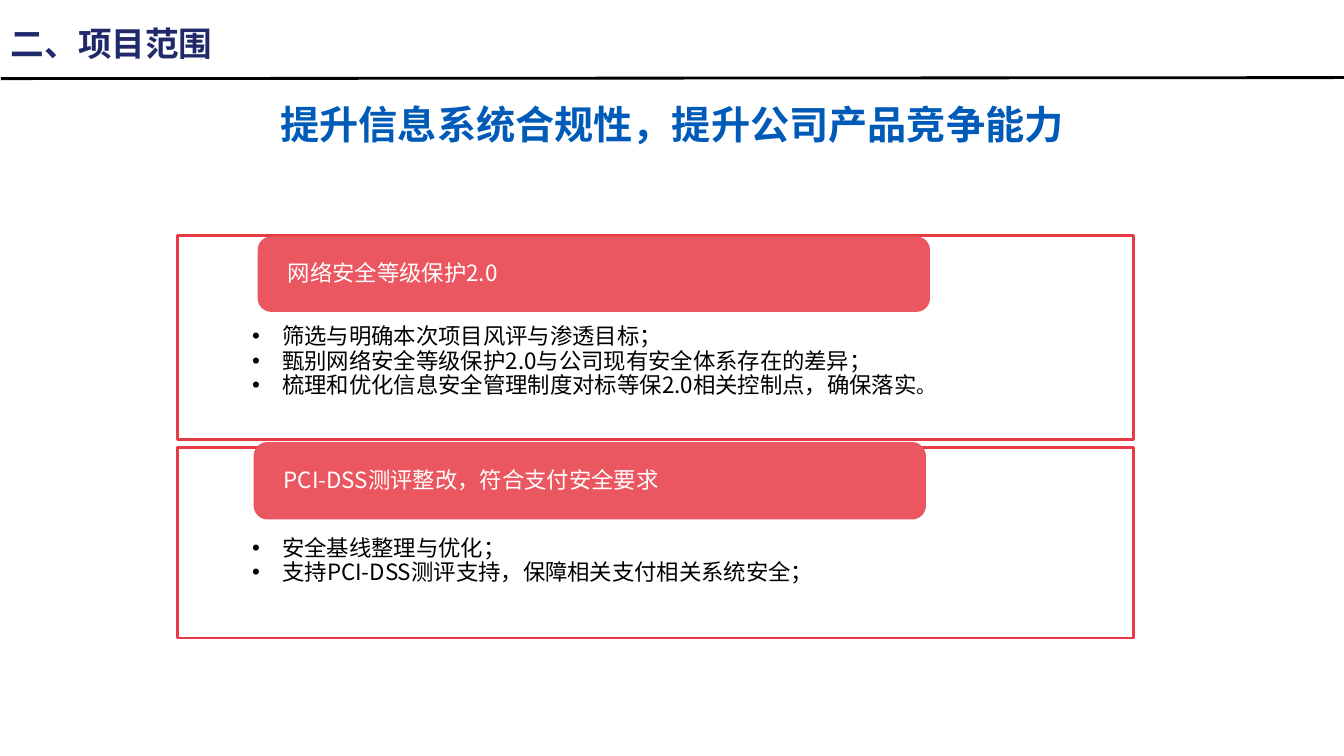
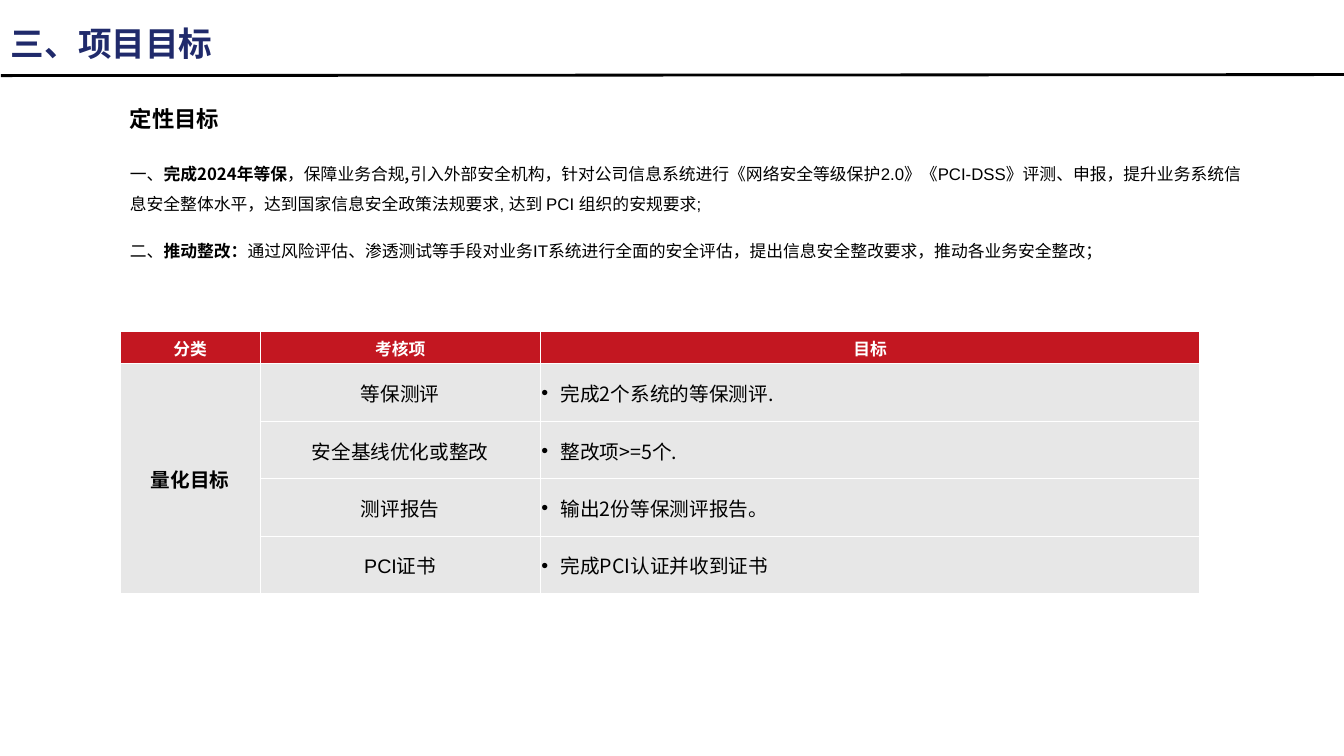
from lxml.etree import SubElement
from pptx import Presentation
from pptx.dml.color import RGBColor
from pptx.enum.shapes import MSO_CONNECTOR, MSO_SHAPE as Shape
from pptx.enum.text import MSO_ANCHOR as Anchor, PP_ALIGN as Align
from pptx.oxml.ns import qn
from pptx.util import Inches, Pt

NAVY = RGBColor(0x20, 0x2A, 0x6B)
BLUE = RGBColor(0x00, 0x5A, 0xB8)
RED = RGBColor(0xE8, 0x3B, 0x45)
CORAL = RGBColor(0xEB, 0x57, 0x60)
CRIMSON = RGBColor(0xC3, 0x17, 0x21)
GREY = RGBColor(0xE7, 0xE7, 0xE7)
BLACK = RGBColor(0, 0, 0)
WHITE = RGBColor(0xFF, 0xFF, 0xFF)
SANS = "Noto Sans CJK SC"
WIDTH, HEIGHT = 13.33, 7.5

CARDS = [
    # panel top, panel height, banner left, banner top, banner height
    ((2.34, 2.02, 2.57, 2.36, 0.72), "网络安全等级保护2.0", [
        [("筛选与明确本次项目风评与渗透目标；", 16)],
        [("甄别网络安全等级保护2.0与公司现有安全体系存在的差异；", 16)],
        [("梳理和优化信息安全管理制度对标等保2.0相关控制点，确保落实", 16),
         ("。", 14)],
    ]),
    ((4.44, 1.89, 2.53, 4.4, 0.74), "PCI-DSS测评整改，符合支付安全要求", [
        [("安全基线整理与优化；", 16)],
        [("支持PCI-DSS测评支持，保障相关支付相关系统安全；", 16)],
    ]),
]

# Each run: text, size, bold, font
GOALS = [
    [("定性目标", 16, True, SANS)],
    [("一、", 12, False, SANS), ("完成2024年等保", 12, True, SANS),
     ("，保障业务合规", 12, False, SANS), (",", 14, False, SANS),
     ("引入外部安全机构，针对公司信息系统进行《网络安全等级保护2.0》《PCI-DSS》"
      "评测、申报，提升业务系统信息安全整体水平，达到国家信息安全政策法规要求, "
      "达到 PCI 组织的安规要求;", 12, False, "Arial")],
    [("二、", 12, False, SANS), ("推动整改：", 12, True, SANS),
     ("通过风险评估、渗透测试等手段对业务IT系统进行全面的安全评估，"
      "提出信息安全整改要求，推动各业务安全整改；", 12, False, "Arial")],
]

HEADS = ["分类", "考核项", "目标"]
CHECKS = [
    ("等保测评", "完成2个系统的等保测评."),
    ("安全基线优化或整改", "整改项>=5个."),
    ("测评报告", "输出2份等保测评报告。"),
    ("PCI证书", "完成PCI认证并收到证书"),
]


def add_run(para, text, size, color=BLACK, bold=False, name=SANS):
    run = para.add_run()
    run.text = text
    font = run.font
    font.size, font.bold = Pt(size), bold
    font.color.rgb = color
    font.name = name
    SubElement(run._r.get_or_add_rPr(), qn("a:ea")).set("typeface", SANS)


def add_bullet(para, indent):
    props = para._p.get_or_add_pPr()
    props.set("marL", str(Inches(indent)))
    props.set("indent", str(-Inches(indent)))
    SubElement(props, qn("a:buFont")).set("typeface", "Arial")
    SubElement(props, qn("a:buChar")).set("char", "•")


def set_frame(frame, anchor, left, top, right, bottom):
    frame.word_wrap = True
    frame.vertical_anchor = anchor
    frame.margin_left, frame.margin_top = Inches(left), Inches(top)
    frame.margin_right, frame.margin_bottom = Inches(right), Inches(bottom)
    return frame


def next_para(frame, index):
    return frame.add_paragraph() if index else frame.paragraphs[0]


def add_text(slide, x, y, w, h, pad=0.1):
    box = slide.shapes.add_textbox(Inches(x), Inches(y), Inches(w), Inches(h))
    return set_frame(box.text_frame, Anchor.TOP, 0.1, pad, 0.1, pad)


def add_box(slide, kind, x, y, w, h, fill, line):
    box = slide.shapes.add_shape(kind, Inches(x), Inches(y), Inches(w), Inches(h))
    box.shadow.inherit = False
    box.fill.solid()
    box.fill.fore_color.rgb = fill
    box.line.color.rgb = line
    box.line.width = Pt(2)
    return box.text_frame


def add_head(slide, title, rule):
    """Section title with a slightly rising rule that starts at height rule."""
    para = add_text(slide, 0.01, 0.22, 7.36, 0.46, 0.05).paragraphs[0]
    para.line_spacing = 0.9
    add_run(para, title, 24, NAVY, True)
    line = slide.shapes.add_connector(
        MSO_CONNECTOR.STRAIGHT, Inches(0.01), Inches(rule),
        Inches(WIDTH), Inches(rule - 0.01))
    line.line.color.rgb = BLACK
    line.line.width = Pt(2)
    SubElement(line._element.spPr, qn("a:effectLst"))


def add_card(slide, place, title, points):
    top, height, left, cap, depth = place
    panel = add_box(slide, Shape.RECTANGLE, 1.76, top, 9.48, height, WHITE, RED)
    set_frame(panel, Anchor.TOP, 0.74, 0.89, 0.74, 0.11)
    for i, runs in enumerate(points):
        para = next_para(panel, i)
        add_bullet(para, 0.3)
        para.alignment = Align.LEFT
        para.line_spacing = 0.9
        for text, size in runs:
            add_run(para, text, size)
    banner = add_box(slide, Shape.ROUNDED_RECTANGLE, left, cap, 6.64, depth,
                     CORAL, CORAL)
    para = set_frame(banner, Anchor.MIDDLE, 0.25, 0, 0.25, 0).paragraphs[0]
    para.alignment = Align.LEFT
    para.line_spacing = 0.9
    add_run(para, title, 16, WHITE)


def add_goals(slide):
    frame = add_text(slide, 1.19, 0.81, 11.26, 3.06)
    for i, runs in enumerate(GOALS):
        para = next_para(frame, i)
        para.line_spacing = 1.5
        para.space_after = Pt(12)
        for text, size, bold, name in runs:
            add_run(para, text, size, BLACK, bold, name)


def style_cell(cell, fill):
    """White borders, solid fill and tight margins."""
    props = cell._tc.get_or_add_tcPr()
    for side in ("lnL", "lnR", "lnT", "lnB"):
        edge = SubElement(props, qn("a:" + side), w=str(Pt(1)))
        paint = SubElement(edge, qn("a:solidFill"))
        SubElement(paint, qn("a:srgbClr")).set("val", str(WHITE))
    cell.fill.solid()
    cell.fill.fore_color.rgb = fill
    cell.vertical_anchor = Anchor.MIDDLE
    cell.margin_left = cell.margin_right = cell.margin_top = Inches(0.01)
    cell.margin_bottom = 0


def fill_cell(cell, text, size=14, color=BLACK, bold=False, name=SANS,
              bullet=False):
    para = cell.text_frame.paragraphs[0]
    if bullet:
        add_bullet(para, 0.19)
    else:
        para.alignment = Align.CENTER
    add_run(para, text, size, color, bold, name)


def add_checks(slide):
    widths, heights = [1.39, 2.78, 6.54], [0.32] + [0.57] * len(CHECKS)
    table = slide.shapes.add_table(
        len(heights), len(widths), Inches(1.19), Inches(3.29),
        Inches(sum(widths)), Inches(sum(heights))).table
    for col, width in zip(table.columns, widths):
        col.width = Inches(width)
    for r, height in enumerate(heights):
        table.rows[r].height = Inches(height)
        for c in range(len(widths)):
            style_cell(table.cell(r, c), GREY if r else CRIMSON)
    for c, text in enumerate(HEADS):
        fill_cell(table.cell(0, c), text, 12, WHITE, True)
    table.cell(1, 0).merge(table.cell(len(CHECKS), 0))
    fill_cell(table.cell(1, 0), "量化目标", bold=True)
    for r, (check, goal) in enumerate(CHECKS, 1):
        fill_cell(table.cell(r, 1), check, name="Arial")
        fill_cell(table.cell(r, 2), goal, bullet=True)


def main():
    deck = Presentation()
    deck.slide_width, deck.slide_height = Inches(WIDTH), Inches(HEIGHT)
    blank = deck.slide_layouts[6]

    scope = deck.slides.add_slide(blank)
    add_head(scope, "二、项目范围", 0.78)
    para = add_text(scope, 0, 0.9, WIDTH, 0.67).paragraphs[0]
    para.alignment = Align.CENTER
    add_run(para, "提升信息系统合规性，提升公司产品竞争能力", 28, BLUE, True, "Calibri")
    for card in CARDS:
        add_card(scope, *card)

    target = deck.slides.add_slide(blank)
    add_head(target, "三、项目目标", 0.75)
    add_goals(target)
    add_checks(target)

    deck.save("out.pptx")


if __name__ == "__main__":
    main()
